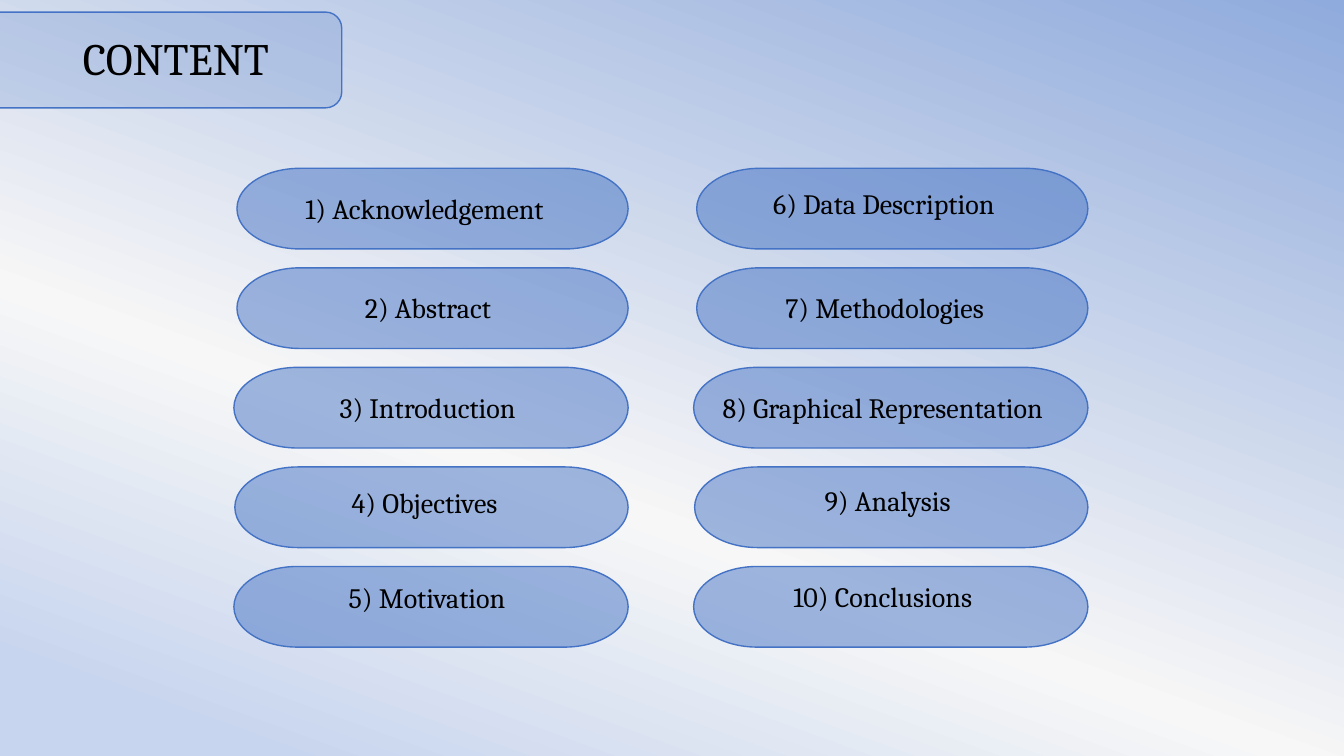
"""Build the contents slide: a title tab and ten numbered topics in two columns."""
from lxml import etree
from pptx import Presentation
from pptx.dml.color import RGBColor
from pptx.enum import shapes, text
from pptx.oxml import ns
from pptx.util import Inches, Pt

COLORS = {"accent": "4472C4", "ink": "000000", "pale": "C7D5EE", "mist": "F7F7F7", "sky": "8FAADC"}
BACKDROP = [(8, "pale", 100), (38, "mist", 84), (100, "sky", 100)]
PILL_WIDTHS = [3.88, 3.88, 3.91, 3.9, 3.91]
FIRST_TOP, ROW_STEP, PILL_HEIGHT = 1.67, 0.9875, 0.8
COLUMNS = [
    (6.23, [("1) Acknowledgement", 2.93, 1.85, 2.75), ("2) Abstract", 3.52, 2.83, 1.54),
            ("3) Introduction", 3.27, 3.82, 2.04), ("4) Objectives", 3.39, 4.77, 1.76),
            ("5) Motivation", 3.36, 5.71, 1.82)]),
    (10.79, [("6) Data Description", 7.57, 1.8, 2.54), ("7) Methodologies", 7.69, 2.83, 2.29),
             ("8) Graphical Representation", 7.07, 3.82, 3.56), ("9) Analysis", 8.08, 4.75, 1.52),
             ("10) Conclusions", 7.77, 5.7, 2.12)]),
]


def add_panel(kind, box, opacity):
    panel = slide.shapes.add_shape(kind, *map(Inches, box))
    panel.shadow.inherit = False
    panel.fill.solid()
    panel.fill.fore_color.rgb = RGBColor.from_string(COLORS["accent"])
    tint = panel.element.spPr.find(".//" + ns.qn("a:srgbClr"))
    etree.SubElement(tint, ns.qn("a:alpha"), val=str(opacity * 1000))
    panel.line.color.rgb = RGBColor.from_string(COLORS["accent"])
    panel.line.width = Pt(1)
    return panel


def write(holder, words, size, align, wrap):
    frame = holder.text_frame
    frame.text = words
    layout = {"word_wrap": wrap, "vertical_anchor": text.MSO_ANCHOR.TOP,
              "auto_size": text.MSO_AUTO_SIZE.SHAPE_TO_FIT_TEXT}
    for key, value in layout.items():
        setattr(frame, key, value)
    frame.paragraphs[0].alignment = align
    font = frame.paragraphs[0].runs[0].font
    for key, value in {"name": "Cambria", "size": Pt(size)}.items():
        setattr(font, key, value)
    font.color.rgb = RGBColor.from_string(COLORS["ink"])


deck = Presentation()
deck.slide_width, deck.slide_height = Inches(13.33), Inches(7.5)
slide = deck.slides.add_slide(deck.slide_layouts[5])

backdrop = slide.background.fill
backdrop.gradient()
backdrop.gradient_angle = 70
stops = slide.element.find(".//" + ns.qn("a:gsLst"))
for stop in list(stops):
    stops.remove(stop)
for position, name, opacity in BACKDROP:
    stop = etree.SubElement(stops, ns.qn("a:gs"), pos=str(position * 1000))
    tint = etree.SubElement(stop, ns.qn("a:srgbClr"), val=COLORS[name])
    if opacity < 100:
        etree.SubElement(tint, ns.qn("a:alpha"), val=str(opacity * 1000))

title_tab = add_panel(shapes.MSO_SHAPE.ROUNDED_RECTANGLE, (-0.27, 0.12, 3.66, 0.95), 20)
title = slide.shapes.title
title.left, title.top, title.width, title.height = map(Inches, (-0.43, 0.25, 4.35, 0.64))
write(title, "CONTENT", 32, text.PP_ALIGN.CENTER, True)
title_tab.element.addnext(title.element)

for right, topics in COLUMNS:
    for row, (topic, left, top, width) in enumerate(topics):
        pill_width = PILL_WIDTHS[row]
        pill_box = (right - pill_width, FIRST_TOP + row * ROW_STEP, pill_width, PILL_HEIGHT)
        add_panel(shapes.MSO_SHAPE.FLOWCHART_TERMINATOR, pill_box, 50)
        label = slide.shapes.add_textbox(*map(Inches, (left, top, width, 0.44)))
        write(label, topic, 20, text.PP_ALIGN.LEFT, False)

deck.save("out.pptx")
